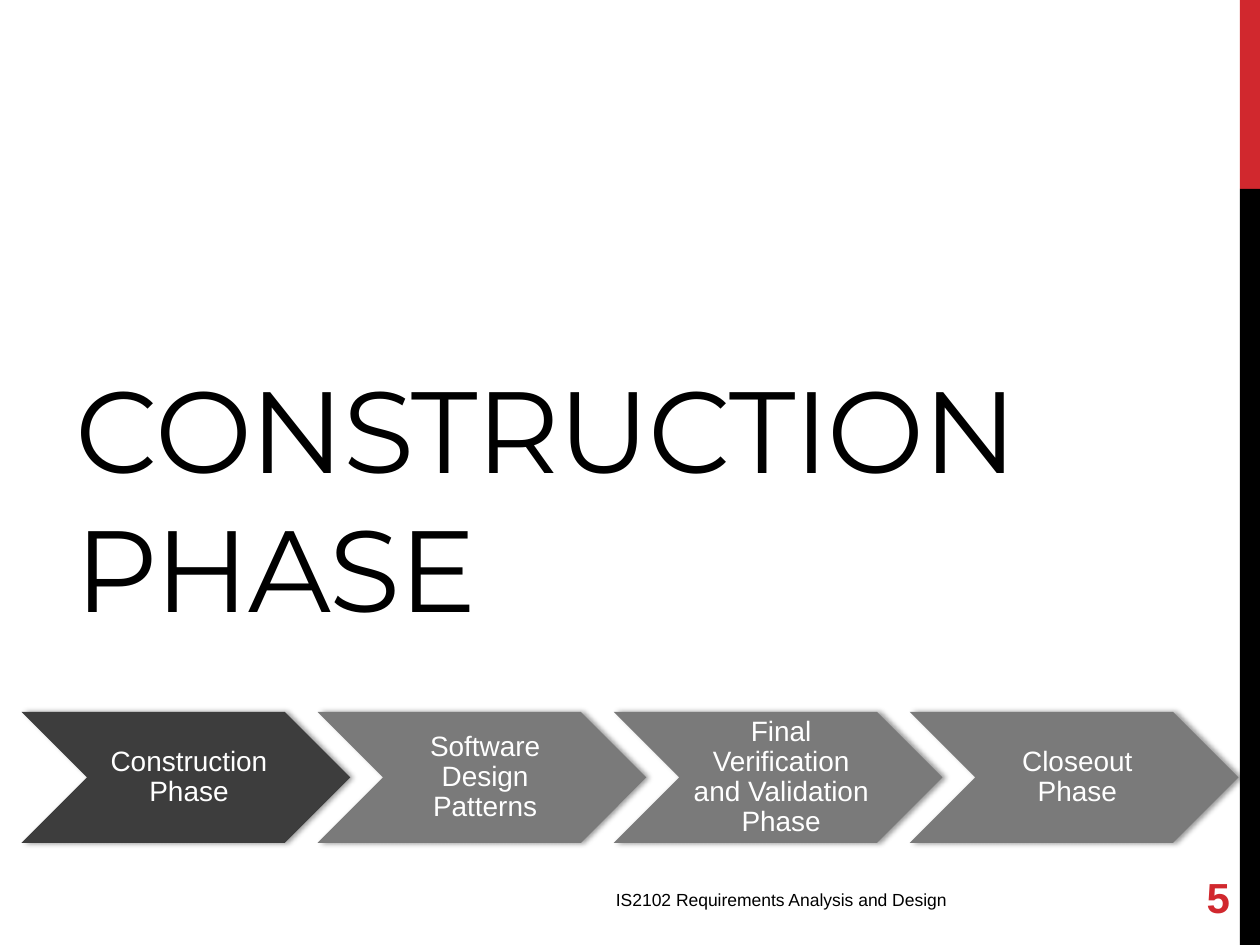
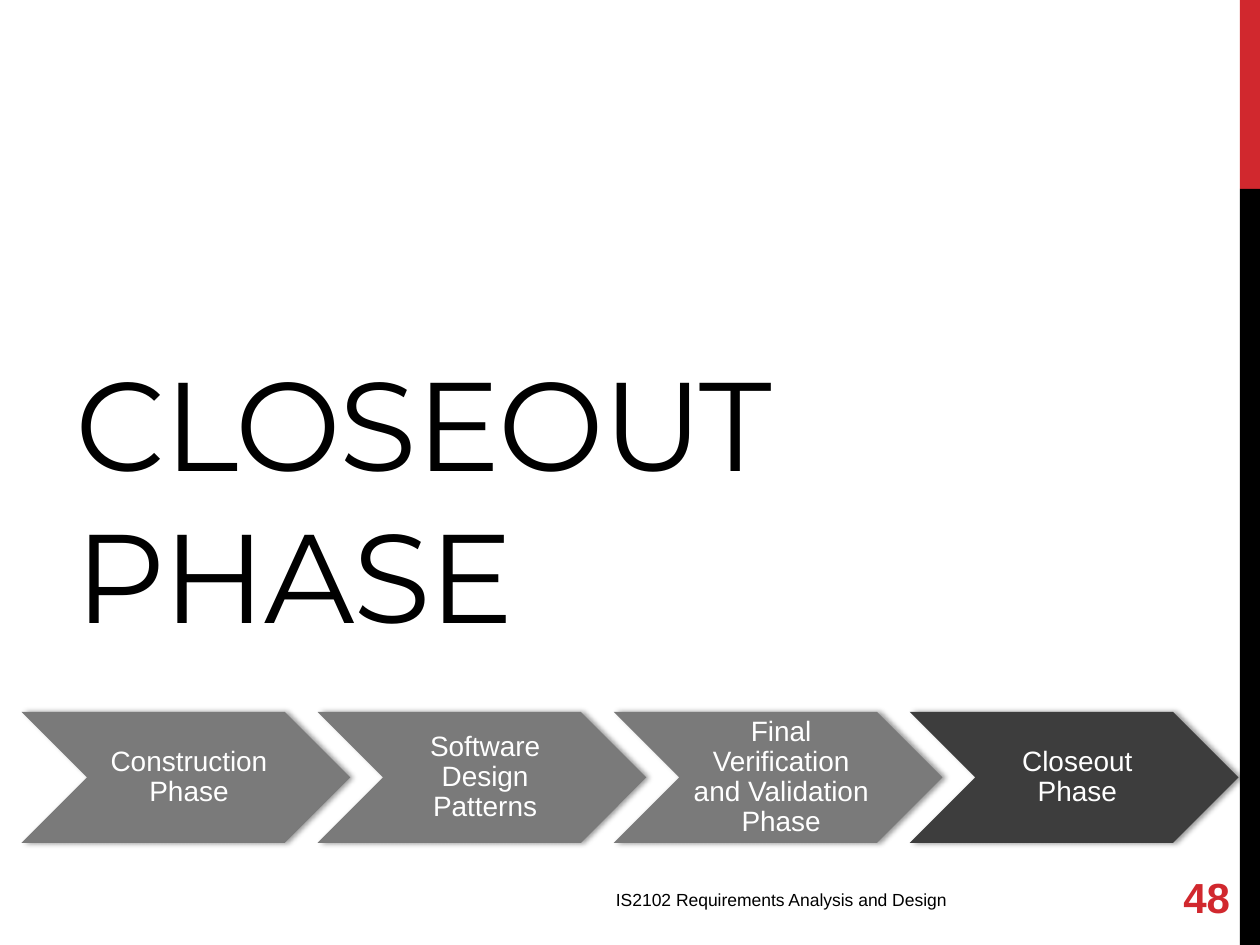
"""Build two phase divider slides with a chevron progress track."""

from dataclasses import dataclass, field

import lxml.etree
import pptx
import pptx.dml.color
import pptx.enum.shapes
import pptx.enum.text
import pptx.oxml.ns
import pptx.shapes.autoshape
import pptx.slide
import pptx.util

RGBColor = pptx.dml.color.RGBColor
Align = pptx.enum.text.PP_ALIGN
Anchor = pptx.enum.text.MSO_ANCHOR
Preset = pptx.enum.shapes.MSO_SHAPE

RED = RGBColor(0xD1, 0x28, 0x2E)
BLACK = RGBColor(0x00, 0x00, 0x00)
WHITE = RGBColor(0xFF, 0xFF, 0xFF)
ACTIVE_GREY = RGBColor(0x3D, 0x3D, 0x3D)
IDLE_GREY = RGBColor(0x7A, 0x7A, 0x7A)

CELL = pptx.util.Inches(0.1)
COLUMNS, ROWS = 100, 75
BAND_LEFT, BAND_SPLIT = 98.4, 15

PHASES = (
    "Construction Phase",
    "Software Design Patterns",
    "Final Verification and Validation Phase",
    "Closeout Phase",
)
TRACK_LEFT, TRACK_TOP, TRACK_PITCH = 1.7, 56.5, 23.5
CHEVRON_WIDTH, CHEVRON_HEIGHT = 26.1, 10.4
FOOTER = "IS2102 Requirements Analysis and Design"


@dataclass(frozen=True)
class Area:
    """A rectangle measured in grid columns and rows."""

    column: float
    row: float
    width: float
    height: float

    def lengths(self) -> list[int]:
        """Return left, top, width and height as slide lengths."""
        return [round(value * CELL) for value in (self.column, self.row, self.width, self.height)]


@dataclass(frozen=True)
class TextStyle:
    """Formats for the frame, paragraph and font of one kind of text."""

    font: dict
    paragraph: dict = field(default_factory=dict)
    frame: dict = field(default_factory=dict)
    spacing: int = 0


@dataclass(frozen=True)
class Band:
    """A coloured part of the right edge."""

    area: Area
    color: RGBColor


@dataclass(frozen=True)
class Divider:
    """The content that differs between divider slides."""

    title: str
    title_size: int
    number: int
    active_phase: int


BANDS = (
    Band(Area(BAND_LEFT, 0, COLUMNS - BAND_LEFT, BAND_SPLIT), RED),
    Band(Area(BAND_LEFT, BAND_SPLIT, COLUMNS - BAND_LEFT, ROWS - BAND_SPLIT), BLACK),
)
TITLE_AREA = Area(5, 15.8, 85, 47.3)
NUMBER_AREA = Area(84.2, 69.2, 14.4, 4)
FOOTER_AREA = Area(47.9, 70.1, 34.6, 4)

FOOTER_STYLE = TextStyle({"name": "Arial", "size": pptx.util.Pt(10)})
NUMBER_STYLE = TextStyle(
    {"name": "Arial", "size": pptx.util.Pt(24), "bold": True},
    {"alignment": Align.RIGHT},
    {"vertical_anchor": Anchor.MIDDLE},
)
PHASE_STYLE = TextStyle(
    {"name": "Arial", "size": pptx.util.Pt(16)},
    {"alignment": Align.CENTER, "line_spacing": 0.9},
    {
        "vertical_anchor": Anchor.MIDDLE,
        "margin_left": pptx.util.Inches(0.07),
        "margin_top": pptx.util.Inches(0.02),
        "margin_right": pptx.util.Inches(0.02),
        "margin_bottom": pptx.util.Inches(0.02),
    },
)

DIVIDERS = (
    Divider("CONSTRUCTION PHASE", 66, 5, 0),
    Divider("CLOSEOUT PHASE", 72, 48, 3),
)


def apply(target: object, formats: dict) -> None:
    """Set each format value on the target."""
    for name, value in formats.items():
        setattr(target, name, value)


def write(shape: pptx.shapes.autoshape.Shape, text: str, style: TextStyle, color: RGBColor) -> None:
    """Write one styled paragraph into a shape."""
    frame = shape.text_frame
    apply(frame, {"word_wrap": True, **style.frame})
    para = frame.paragraphs[0]
    apply(para, style.paragraph)
    span = para.add_run()
    span.text = text
    apply(span.font, style.font)
    span.font.color.rgb = color
    if style.spacing:
        span._r.get_or_add_rPr().set("spc", str(style.spacing))


def add_text(page: pptx.slide.Slide, area: Area, text: str, style: TextStyle, color: RGBColor) -> None:
    """Add a text box."""
    write(page.shapes.add_textbox(*area.lengths()), text, style, color)


def add_filled(
    page: pptx.slide.Slide, preset: Preset, area: Area, color: RGBColor
) -> pptx.shapes.autoshape.Shape:
    """Add a flat preset shape without an outline."""
    shape = page.shapes.add_shape(preset, *area.lengths())
    shape.shadow.inherit = False
    shape.fill.solid()
    shape.fill.fore_color.rgb = color
    shape.line.fill.background()
    return shape


def add_side_shadow(shape: pptx.shapes.autoshape.Shape) -> None:
    """Cast a soft shadow to the right of a shape."""
    qualify = pptx.oxml.ns.qn
    effects = shape._element.spPr.find(qualify("a:effectLst"))
    shadow = lxml.etree.SubElement(
        effects,
        qualify("a:outerShdw"),
        blurRad=str(pptx.util.Pt(3.1)),
        dist=str(pptx.util.Pt(1.8)),
        dir="0",
        rotWithShape="0",
    )
    color = lxml.etree.SubElement(shadow, qualify("a:srgbClr"), val=str(BLACK))
    lxml.etree.SubElement(color, qualify("a:alpha"), val="40000")


def add_track(page: pptx.slide.Slide, active_phase: int) -> None:
    """Add the row of phases with the active one darkened."""
    for index, phase in enumerate(PHASES):
        area = Area(TRACK_LEFT + index * TRACK_PITCH, TRACK_TOP, CHEVRON_WIDTH, CHEVRON_HEIGHT)
        color = ACTIVE_GREY if index == active_phase else IDLE_GREY
        chevron = add_filled(page, Preset.CHEVRON, area, color)
        add_side_shadow(chevron)
        write(chevron, phase, PHASE_STYLE, WHITE)


def add_divider(deck: pptx.presentation.Presentation, divider: Divider) -> None:
    """Add one divider slide."""
    page = deck.slides.add_slide(deck.slide_layouts[6])
    for band in BANDS:
        add_filled(page, Preset.RECTANGLE, band.area, band.color)
    title_style = TextStyle(
        {"name": "Montserrat", "size": pptx.util.Pt(divider.title_size)},
        frame={"vertical_anchor": Anchor.MIDDLE},
        spacing=-80,
    )
    add_text(page, TITLE_AREA, divider.title, title_style, BLACK)
    add_text(page, NUMBER_AREA, str(divider.number), NUMBER_STYLE, RED)
    add_text(page, FOOTER_AREA, FOOTER, FOOTER_STYLE, BLACK)
    add_track(page, divider.active_phase)


def main() -> None:
    """Build and save the deck."""
    deck = pptx.Presentation()
    apply(deck, {"slide_width": COLUMNS * CELL, "slide_height": ROWS * CELL})
    for divider in DIVIDERS:
        add_divider(deck, divider)
    deck.save("out.pptx")


if __name__ == "__main__":
    main()
